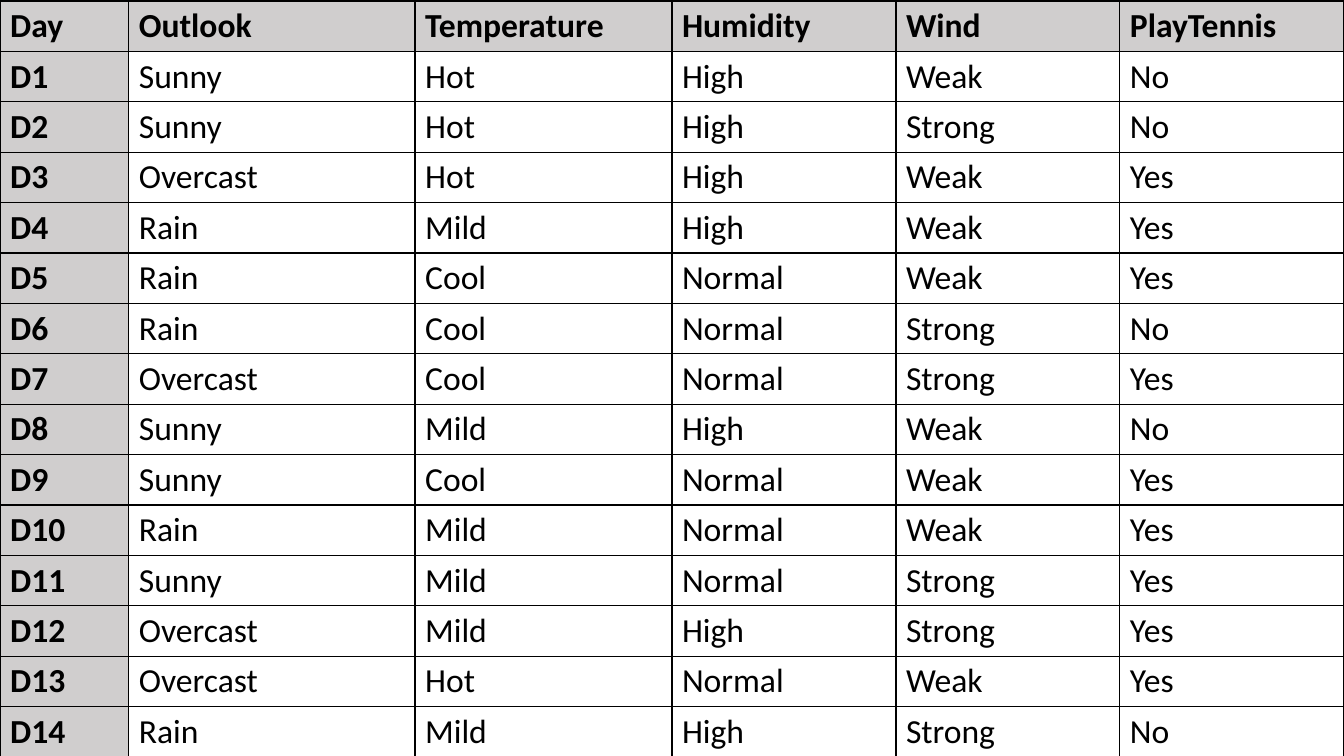
from lxml import etree
from pptx import Presentation
from pptx.dml.color import RGBColor
from pptx.enum.text import MSO_ANCHOR
from pptx.oxml.ns import qn
from pptx.util import Pt

MIDDLE = MSO_ANCHOR.MIDDLE
SLIDE_WIDTH, SLIDE_HEIGHT = 960, 540
FONT_NAME, FONT_SIZE = "Calibri", 24
BLACK, HEADER_GREY = "000000", "D0CECE"
BORDER_WIDTH = 1
COLUMN_WIDTHS = [92, 204.5, 183.5, 160, 160, 160]

HEADINGS = ["Day", "Outlook", "Temperature", "Humidity", "Wind", "PlayTennis"]
OBSERVATIONS = [
    ["Sunny", "Hot", "High", "Weak", "No"],
    ["Sunny", "Hot", "High", "Strong", "No"],
    ["Overcast", "Hot", "High", "Weak", "Yes"],
    ["Rain", "Mild", "High", "Weak", "Yes"],
    ["Rain", "Cool", "Normal", "Weak", "Yes"],
    ["Rain", "Cool", "Normal", "Strong", "No"],
    ["Overcast", "Cool", "Normal", "Strong", "Yes"],
    ["Sunny", "Mild", "High", "Weak", "No"],
    ["Sunny", "Cool", "Normal", "Weak", "Yes"],
    ["Rain", "Mild", "Normal", "Weak", "Yes"],
    ["Sunny", "Mild", "Normal", "Strong", "Yes"],
    ["Overcast", "Mild", "High", "Strong", "Yes"],
    ["Overcast", "Hot", "Normal", "Weak", "Yes"],
    ["Rain", "Mild", "High", "Strong", "No"],
]


def color(hex_string):
    return RGBColor.from_string(hex_string)


def add_borders(cell):
    """Draw a solid line on all four sides of a cell."""
    properties = cell._tc.get_or_add_tcPr()
    for side in ("a:lnL", "a:lnR", "a:lnT", "a:lnB"):
        line = etree.SubElement(properties, qn(side), w=str(Pt(BORDER_WIDTH)))
        fill = etree.SubElement(line, qn("a:solidFill"))
        etree.SubElement(fill, qn("a:srgbClr"), val=BLACK)


def format_cell(cell, text, is_header):
    cell.margin_top = cell.margin_bottom = Pt(3)
    cell.vertical_anchor = MIDDLE
    add_borders(cell)
    if is_header:
        cell.fill.solid()
        cell.fill.fore_color.rgb = color(HEADER_GREY)
    else:
        cell.fill.background()

    cell.text_frame.text = text
    font = cell.text_frame.paragraphs[0].runs[0].font
    font.name, font.size, font.bold = FONT_NAME, Pt(FONT_SIZE), is_header
    font.color.rgb = color(BLACK)


def add_tennis_table(slide, left, top, width, height):
    days = [[f"D{number}", *values] for number, values in enumerate(OBSERVATIONS, 1)]
    records = [HEADINGS, *days]
    frame = slide.shapes.add_table(
        len(records), len(HEADINGS), Pt(left), Pt(top), Pt(width), Pt(height)
    )
    table = frame.table
    table.horz_banding = False

    # Column widths share out the box; rows are equal
    scale = width / sum(COLUMN_WIDTHS)
    for column, column_width in zip(table.columns, COLUMN_WIDTHS):
        column.width = Pt(column_width * scale)
    for row in table.rows:
        row.height = Pt(height / len(records))

    # The first row and the first column are headers
    for row_index, record in enumerate(records):
        for column_index, text in enumerate(record):
            is_header = row_index == 0 or column_index == 0
            format_cell(table.cell(row_index, column_index), text, is_header)


def main():
    presentation = Presentation()
    presentation.slide_width = Pt(SLIDE_WIDTH)
    presentation.slide_height = Pt(SLIDE_HEIGHT)
    slide = presentation.slides.add_slide(presentation.slide_layouts[6])
    add_tennis_table(slide, 0, 0.7, SLIDE_WIDTH, SLIDE_HEIGHT)
    presentation.save("out.pptx")


if __name__ == "__main__":
    main()
